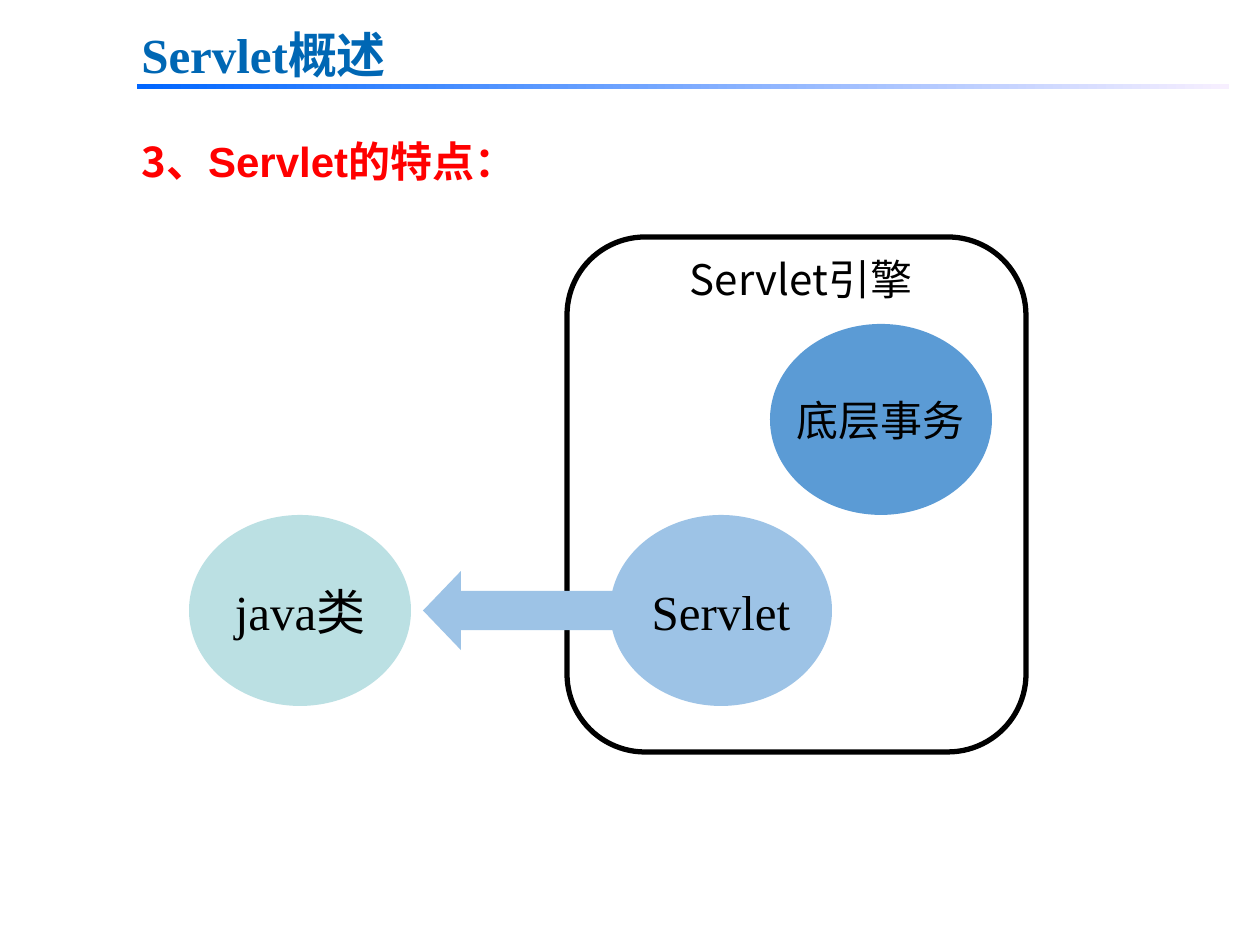
from lxml import etree
from pptx import Presentation
from pptx import util as u
from pptx.dml.color import RGBColor
from pptx.enum import shapes, text
from pptx.oxml.ns import qn

SCALE = 914400 / 126
BLACK = RGBColor(0x00, 0x00, 0x00)
RED = RGBColor(0xFF, 0x00, 0x00)
TITLE_BLUE = RGBColor(0x00, 0x67, 0xB4)
RULE_START = RGBColor(0x00, 0x66, 0xFF)
RULE_END = RGBColor(0xF7, 0xEF, 0xFF)
MID_BLUE = RGBColor(0x5B, 0x9B, 0xD5)
LIGHT_BLUE = RGBColor(0x9D, 0xC3, 0xE6)
TEAL = RGBColor(0xBB, 0xE0, 0xE3)

SERIF, SANS, CJK = "Times New Roman", "Arial", "Noto Sans CJK SC"
LEFT, CENTER = text.PP_ALIGN.LEFT, text.PP_ALIGN.CENTER
JUSTIFY = text.PP_ALIGN.JUSTIFY
KIND = shapes.MSO_SHAPE

RULE = (137, 84, 1092, 5)
ENGINE = (567, 237, 459, 515)
ARROW = (423, 571, 205, 79)
CIRCLE_SIZE = (222, 191)

LABELS = [
    ((129, 18, 641, 72), [("Servlet概述", SERIF)], 28, TITLE_BLUE, True, JUSTIFY),
    ((129, 129, 440, 63),
     [("3", CJK), ("、Servlet的特点", SANS), ("：", CJK)], 24, RED, True, LEFT),
    ((610, 247, 382, 63), [("Servlet引擎", CJK)], 24, BLACK, False, CENTER),
]
CIRCLES = [
    ((610, 515), "Servlet", SERIF, 28, LIGHT_BLUE),
    ((770, 324), "底层事务", CJK, 24, MID_BLUE),
    ((189, 515), "java类", SERIF, 28, TEAL),
]


def px(values):
    return [u.Emu(round(value * SCALE)) for value in values]


def write(frame, spans, size, color, bold, align):
    para = frame.paragraphs[0]
    para.alignment = align
    for words, font in spans:
        span = para.add_run()
        span.text = words
        span.font.name = font
        span.font.size = u.Pt(size)
        span.font.bold = bold
        span.font.color.rgb = color
        east_asian = etree.Element(qn("a:ea"), typeface=CJK)
        span.font._element.find(qn("a:latin")).addnext(east_asian)


def add_shape(page, kind, place, fill=None):
    shape = page.shapes.add_shape(kind, *px(place))
    shape.shadow.inherit = False
    shape.line.fill.background()
    if fill is None:
        shape.fill.background()
    else:
        shape.fill.solid()
        shape.fill.fore_color.rgb = fill
    return shape


def add_label(page, place, spans, size, color, bold, align):
    frame = page.shapes.add_textbox(*px(place)).text_frame
    frame.word_wrap = True
    frame.auto_size = text.MSO_AUTO_SIZE.SHAPE_TO_FIT_TEXT
    write(frame, spans, size, color, bold, align)


def add_circle(page, corner, words, font, size, fill):
    frame = add_shape(page, KIND.OVAL, corner + CIRCLE_SIZE, fill).text_frame
    frame.word_wrap = False
    frame.vertical_anchor = text.MSO_ANCHOR.MIDDLE
    write(frame, [(words, font)], size, BLACK, False, CENTER)


def main():
    deck = Presentation()
    deck.slide_width, deck.slide_height = u.Inches(10), u.Inches(7.5)
    page = deck.slides.add_slide(deck.slide_layouts[6])

    rule = add_shape(page, KIND.RECTANGLE, RULE)
    rule.fill.gradient()
    rule.fill.gradient_angle = 0
    for stop, color in zip(rule.fill.gradient_stops, (RULE_START, RULE_END)):
        stop.color.rgb = color

    engine = add_shape(page, KIND.ROUNDED_RECTANGLE, ENGINE)
    engine.adjustments[0] = 0.17
    engine.line.color.rgb = BLACK
    engine.line.width = u.Pt(3)

    for label in LABELS:
        add_label(page, *label)
    for circle in CIRCLES:
        add_circle(page, *circle)

    arrow = add_shape(page, KIND.LEFT_ARROW, ARROW, LIGHT_BLUE)
    arrow.adjustments[1] = 0.48

    deck.save("out.pptx")


if __name__ == "__main__":
    main()
